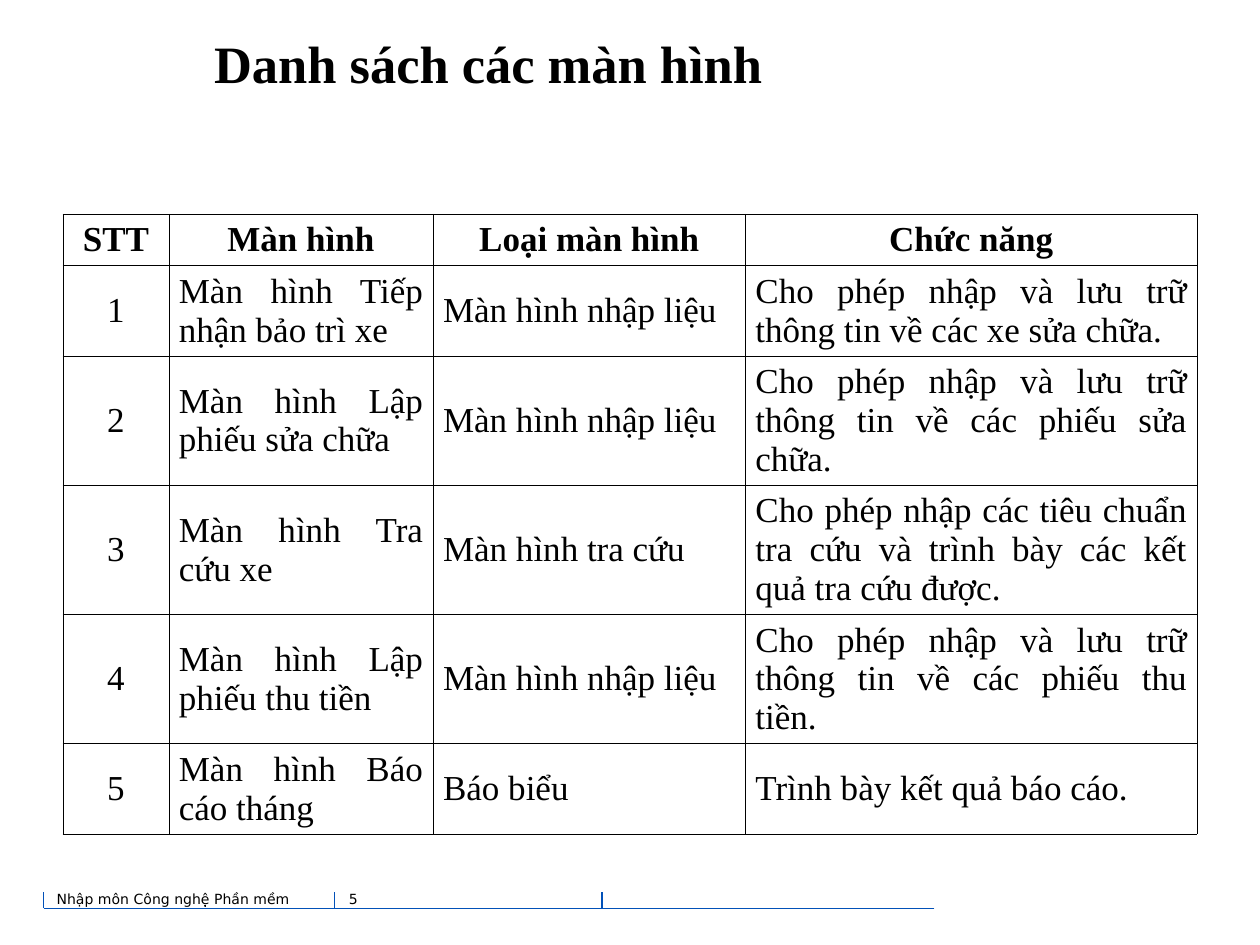
from lxml.etree import SubElement
from pptx import Presentation
from pptx.dml.color import RGBColor
from pptx.enum.shapes import MSO_CONNECTOR as Connector
from pptx.enum.text import MSO_ANCHOR as Anchor, MSO_AUTO_SIZE as AutoSize, PP_ALIGN as Align
from pptx.oxml.ns import qn
from pptx.util import Pt

BLACK = RGBColor(0x00, 0x00, 0x00)
BLUE = RGBColor(0x02, 0x51, 0xB8)
SERIF = "Times New Roman"
SANS = "DejaVu Sans"

TITLE_FONT = {"name": SERIF, "size": Pt(30), "bold": True}
HEADER_FONT = {"name": SERIF, "size": Pt(20), "bold": True}
CELL_FONT = {"name": SERIF, "size": Pt(20), "bold": False}
FOOTER_FONT = {"name": SANS, "size": Pt(8), "bold": False}

COLUMN_WIDTHS = [60.5, 151, 178.5, 258]
LINES_PER_ROW = [1, 2, 3, 3, 3, 2]
LINE_HEIGHT = 24
HEADERS = ["STT", "Màn hình", "Loại màn hình", "Chức năng"]
SCREENS = [
    ("Màn hình Tiếp nhận bảo trì xe", "Màn hình nhập liệu",
     "Cho phép nhập và lưu trữ thông tin về các xe sửa chữa."),
    ("Màn hình Lập phiếu sửa chữa", "Màn hình nhập liệu",
     "Cho phép nhập và lưu trữ thông tin về các phiếu sửa chữa."),
    ("Màn hình Tra cứu xe", "Màn hình tra cứu",
     "Cho phép nhập các tiêu chuẩn tra cứu và trình bày các kết quả tra cứu được."),
    ("Màn hình Lập phiếu thu tiền", "Màn hình nhập liệu",
     "Cho phép nhập và lưu trữ thông tin về các phiếu thu tiền."),
    ("Màn hình Báo cáo tháng", "Báo biểu", "Trình bày kết quả báo cáo."),
]


def set_attributes(target, values):
    for name, value in values.items():
        setattr(target, name, value)


def set_text(text_frame, text, font, alignment):
    text_frame.text = text
    paragraph = text_frame.paragraphs[0]
    paragraph.alignment = alignment
    set_attributes(paragraph.font, font)
    paragraph.font.color.rgb = BLACK


def set_frame(text_frame, margin, anchor):
    set_attributes(text_frame, {
        "word_wrap": True, "auto_size": AutoSize.NONE, "vertical_anchor": anchor,
        "margin_left": Pt(margin), "margin_right": Pt(margin),
        "margin_top": Pt(margin), "margin_bottom": Pt(margin),
    })


def add_title(slide, left, top, width, height):
    title = slide.shapes.title
    set_attributes(title, {"left": Pt(left), "top": Pt(top),
                           "width": Pt(width), "height": Pt(height)})
    set_frame(title.text_frame, 0, Anchor.MIDDLE)
    set_text(title.text_frame, "Danh sách các màn hình", TITLE_FONT, Align.CENTER)


def add_borders(cell):
    properties = cell._tc.get_or_add_tcPr()
    for side in ("lnL", "lnR", "lnT", "lnB"):
        line = SubElement(properties, qn(f"a:{side}"), w=str(Pt(0.45)))
        fill = SubElement(line, qn("a:solidFill"))
        SubElement(fill, qn("a:srgbClr"), val=str(BLACK))


def add_screen_table(slide, left, top, width):
    rows = [HEADERS] + [(str(number), *screen) for number, screen in enumerate(SCREENS, 1)]
    height = LINE_HEIGHT * sum(LINES_PER_ROW)
    table = slide.shapes.add_table(len(rows), len(HEADERS), Pt(left), Pt(top),
                                   Pt(width), Pt(height)).table
    table.horz_banding = False
    for column, column_width in zip(table.columns, COLUMN_WIDTHS):
        column.width = Pt(column_width * width / sum(COLUMN_WIDTHS))
    for row_index, (row, lines) in enumerate(zip(rows, LINES_PER_ROW)):
        table.rows[row_index].height = Pt(LINE_HEIGHT * lines)
        for column_index, text in enumerate(row):
            cell = table.cell(row_index, column_index)
            set_attributes(cell, {
                "vertical_anchor": Anchor.MIDDLE,
                "margin_left": Pt(5.7), "margin_right": Pt(5.7),
                "margin_top": Pt(3.6), "margin_bottom": Pt(3.6),
            })
            add_borders(cell)
            cell.fill.background()
            centred = row_index == 0 or column_index == 0
            set_text(cell.text_frame, text, CELL_FONT if row_index else HEADER_FONT,
                     Align.CENTER if centred else Align.JUSTIFY)


def add_line(slide, start_x, start_y, end_x, end_y):
    line = slide.shapes.add_connector(Connector.STRAIGHT, Pt(start_x), Pt(start_y),
                                      Pt(end_x), Pt(end_y))
    line.line.color.rgb = BLUE
    line.line.width = Pt(0.75)
    SubElement(line._element.spPr, qn("a:effectLst"))


def add_footer(slide, left, top, width, height):
    bottom = top + height
    add_line(slide, left + width, bottom, left, bottom)
    for offset in (0, 166.3, 319):
        add_line(slide, left + offset, bottom, left + offset, bottom - 9.4)
    for text, offset, box_width in (("Nhập môn Công nghệ Phần mềm", 4.5, 157.5),
                                    ("5", 171.5, 90)):
        box = slide.shapes.add_textbox(Pt(left + offset), Pt(top), Pt(box_width), Pt(18))
        set_frame(box.text_frame, 2.9, Anchor.TOP)
        set_text(box.text_frame, text, FOOTER_FONT, Align.LEFT)


def main():
    presentation = Presentation()
    presentation.slide_width = Pt(720)
    presentation.slide_height = Pt(540)
    slide = presentation.slides.add_slide(presentation.slide_layouts[5])
    add_footer(slide, 25, 506.2, 509, 12.9)
    add_title(slide, 12, 5, 534, 61)
    add_screen_table(slide, 36, 122.4, 648)
    presentation.save("out.pptx")


if __name__ == "__main__":
    main()
